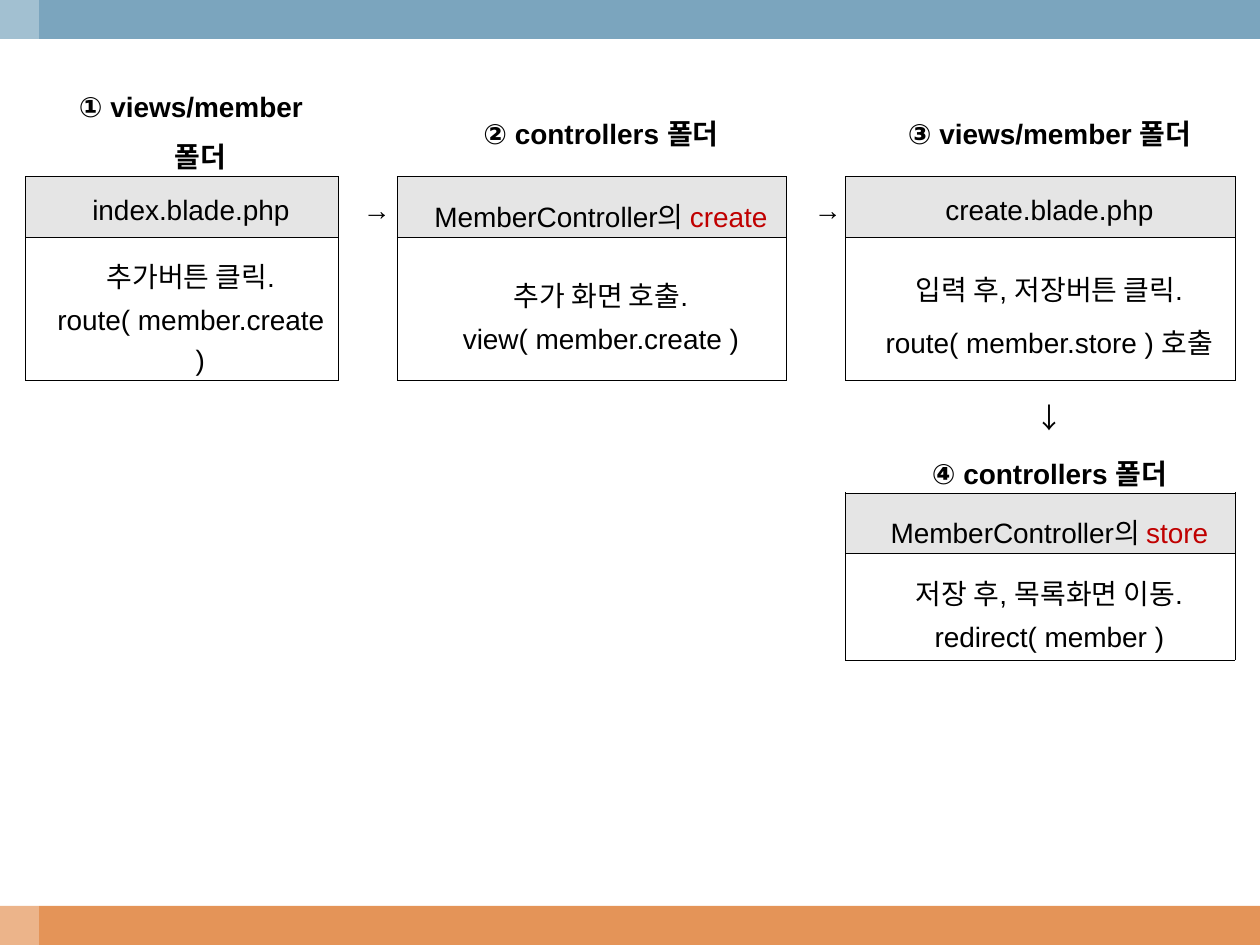
"""Build a slide that traces the member create and store flow through its folders."""
from lxml.etree import SubElement
from pptx import Presentation
from pptx.dml.color import RGBColor
from pptx.enum.shapes import MSO_SHAPE
from pptx.enum.text import MSO_ANCHOR, PP_ALIGN
from pptx.oxml.ns import qn
from pptx.util import Inches, Pt

THEME = {
    "font": "Arial", "korean": "Noto Sans CJK KR", "size": 16, "line": 0.11,
    "text": "000000", "accent": "C00000", "head": "E5E5E5",
    "top": "7BA5BE", "bottom": "E49458", "overlay": "FFFFFF",
}
SLIDE_WIDTH, SLIDE_HEIGHT, BAND = 10, 7.5, 0.31
TABLE_LEFT, TABLE_TOP = 0.2, 0.6
COLUMNS = [2.48, 0.47, 3.09, 0.47, 3.09]
ROWS = [0.8, 0.48, 1.14, 0.45, 0.44, 0.48, 0.85]
PLAIN_STYLE = "{2D5ABB26-0587-4C30-8999-92F81FD0307C}"
MARGINS = (0.05, 0.05)
TIGHT_MARGINS = {
    (0, 0): (0.05, 0), (1, 2): (0.05, 0.01), (2, 0): (0.05, 0.03),
    (3, 4): (0.03, 0), (4, 4): (0.02, 0), (5, 4): (0.05, 0.01),
}

STEPS = [
    {"row": 0, "column": 0, "folder": "① views/member 폴더",
     "file": "index.blade.php", "method": "",
     "actions": ["추가버튼 클릭.", "route( member.create )"]},
    {"row": 0, "column": 2, "folder": "② controllers 폴더",
     "file": "MemberController의 ", "method": "create",
     "actions": ["추가 화면 호출.", "view( member.create )"]},
    {"row": 0, "column": 4, "folder": "③ views/member 폴더",
     "file": "create.blade.php", "method": "",
     "actions": ["입력 후, 저장버튼 클릭.", "route( member.store ) 호출"]},
    {"row": 4, "column": 4, "folder": "④ controllers 폴더",
     "file": "MemberController의 ", "method": "store",
     "actions": ["저장 후, 목록화면 이동.", "redirect( member )"]},
]
ARROWS = [
    (1, 1, "→", PP_ALIGN.CENTER, THEME["font"]),
    (1, 3, "→", PP_ALIGN.JUSTIFY, THEME["font"]),
    (3, 4, "↓", PP_ALIGN.CENTER, THEME["korean"]),
]
SIDES = {"a:lnL": (0, -1), "a:lnR": (0, 1), "a:lnT": (-1, 0), "a:lnB": (1, 0)}


def color(name):
    return RGBColor.from_string(THEME[name])


def add_band(slide, left, top, width, height, fill, opacity=None):
    shape = slide.shapes.add_shape(
        MSO_SHAPE.RECTANGLE, Inches(left), Inches(top), Inches(width), Inches(height))
    shape.shadow.inherit = False
    shape.fill.solid()
    shape.fill.fore_color.rgb = color(fill)
    shape.line.fill.background()
    if opacity is not None:
        fill_color = shape.fill._xPr.find(".//" + qn("a:srgbClr"))
        SubElement(fill_color, qn("a:alpha"), val=str(opacity * 1000))


def write_cell(cell, lines, bold=False, align=PP_ALIGN.CENTER, font=THEME["font"]):
    frame = cell.text_frame
    for index, pieces in enumerate(lines):
        paragraph = frame.paragraphs[0] if index == 0 else frame.add_paragraph()
        paragraph.alignment = align
        paragraph.line_spacing = 1.3
        properties = paragraph._p.get_or_add_pPr()
        properties.set("marL", str(Inches(0.3)))
        properties.set("indent", str(Inches(-0.15)))
        for text, tone in pieces:
            run = paragraph.add_run()
            run.text = text
            run.font.name = font
            run.font.size = Pt(THEME["size"])
            run.font.bold = bold
            run.font.color.rgb = color(tone)
            SubElement(run._r.get_or_add_rPr(), qn("a:ea"), typeface=THEME["korean"])


def add_border(cell, side, visible):
    line = SubElement(cell._tc.get_or_add_tcPr(), qn(side), w=str(Pt(THEME["line"])))
    if visible:
        fill = SubElement(line, qn("a:solidFill"))
        SubElement(fill, qn("a:srgbClr"), val=THEME["text"])
    else:
        SubElement(line, qn("a:noFill"))


def add_table(slide):
    frame = slide.shapes.add_table(
        len(ROWS), len(COLUMNS), Inches(TABLE_LEFT), Inches(TABLE_TOP),
        Inches(sum(COLUMNS)), Inches(sum(ROWS)))
    table = frame.table
    table.first_row = table.horz_banding = False
    table._tbl.tblPr.find(qn("a:tableStyleId")).text = PLAIN_STYLE
    for column, width in zip(table.columns, COLUMNS):
        column.width = Inches(width)
    for row, height in zip(table.rows, ROWS):
        row.height = Inches(height)

    heads = {(step["row"] + 1, step["column"]) for step in STEPS}
    boxes = heads | {(row + 1, column) for row, column in heads}
    for row in range(len(ROWS)):
        for column in range(len(COLUMNS)):
            cell = table.cell(row, column)
            top, bottom = TIGHT_MARGINS.get((row, column), MARGINS)
            cell.vertical_anchor = MSO_ANCHOR.MIDDLE
            cell.margin_left = cell.margin_right = Inches(0.07)
            cell.margin_top, cell.margin_bottom = Inches(top), Inches(bottom)
            for side, (down, across) in SIDES.items():
                touching = {(row, column), (row + down, column + across)}
                add_border(cell, side, bool(boxes & touching))
            if (row, column) in heads:
                cell.fill.solid()
                cell.fill.fore_color.rgb = color("head")
            else:
                cell.fill.background()

    for step in STEPS:
        row, column = step["row"], step["column"]
        title = [(step["file"], "text")]
        if step["method"]:
            title.append((step["method"], "accent"))
        write_cell(table.cell(row, column), [[(step["folder"], "text")]], bold=True)
        write_cell(table.cell(row + 1, column), [title])
        write_cell(table.cell(row + 2, column),
                   [[(action, "text")] for action in step["actions"]])
    for row, column, arrow, align, font in ARROWS:
        write_cell(table.cell(row, column), [[(arrow, "text")]], align=align, font=font)


def main():
    presentation = Presentation()
    presentation.slide_width = Inches(SLIDE_WIDTH)
    presentation.slide_height = Inches(SLIDE_HEIGHT)
    slide = presentation.slides.add_slide(presentation.slide_layouts[6])
    add_band(slide, 0, SLIDE_HEIGHT - BAND, SLIDE_WIDTH, BAND, "bottom")
    add_band(slide, 0, 0, SLIDE_WIDTH, BAND, "top")
    add_band(slide, 0, 0, BAND, SLIDE_HEIGHT, "overlay", opacity=30)
    add_table(slide)
    presentation.save("out.pptx")


if __name__ == "__main__":
    main()
